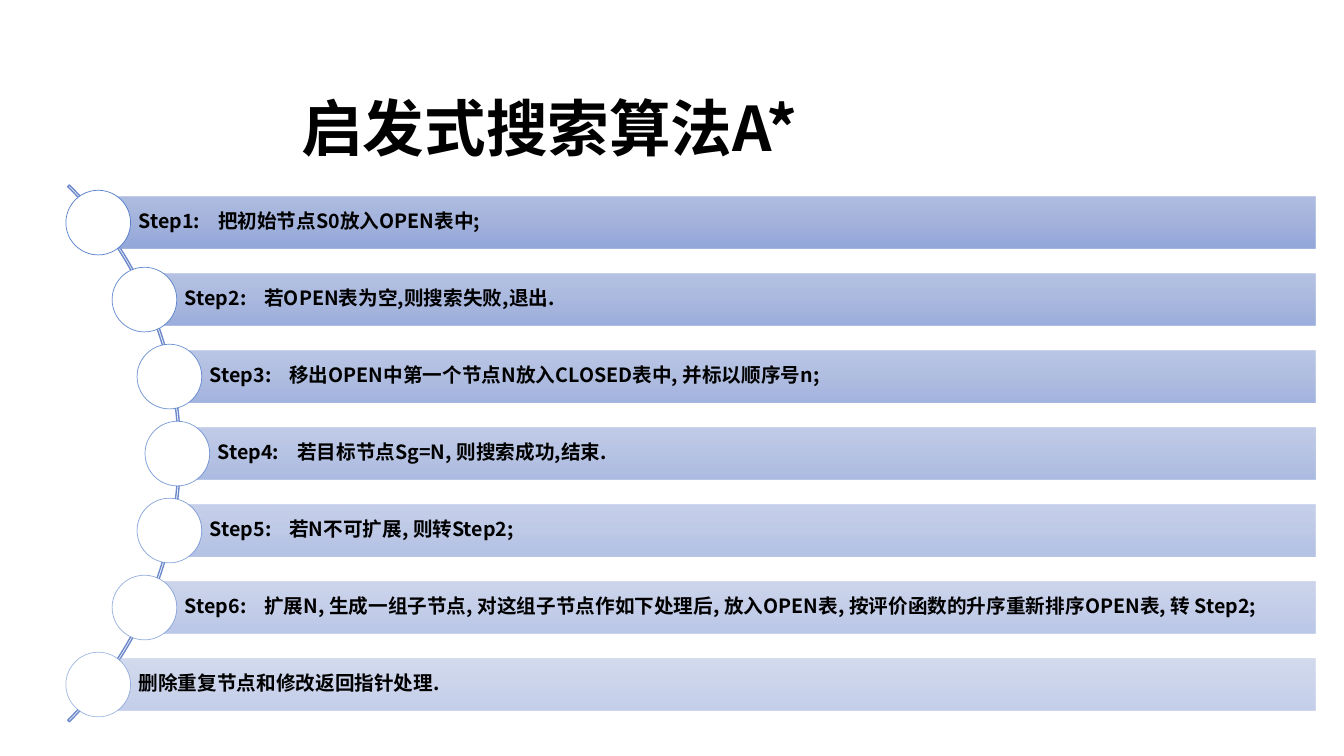
from dataclasses import dataclass
from math import sqrt

from lxml.etree import SubElement
from pptx import Presentation
from pptx.dml.color import RGBColor
from pptx.enum.shapes import MSO_SHAPE
from pptx.enum.text import MSO_ANCHOR, MSO_AUTO_SIZE, PP_ALIGN
from pptx.oxml.ns import qn
from pptx.shapes.autoshape import Shape
from pptx.slide import Slide
from pptx.text.text import TextFrame
from pptx.util import Cm, Pt

COLORS = {
    "text": "000000",
    "node": "FFFFFF",
    "node_line": "4472C4",
    "arc": "6D89CB",
    "bar_top": "A8B7DF",
    "bar_middle": "9AABD9",
    "bar_bottom": "889ED7",
}
FONT = "Noto Sans CJK SC"
ARC_LEFT, ARC_TOP, ARC_SIZE = -14.58, 1.86, 19.13
CENTER_X, CENTER_Y, RADIUS = -5.02, 11.43, 9.49
PITCH, BAR_HEIGHT, BAR_RIGHT, NODE_SIZE = 1.94, 1.3, 33.15, 1.63


@dataclass
class Step:
    text: str
    x: float
    y: float
    alpha: int


def rgb(name: str) -> RGBColor:
    return RGBColor.from_string(COLORS[name])


def set_alpha(color_element, percent: int) -> None:
    SubElement(color_element, qn("a:alpha")).set("val", str(percent * 1000))


def write(tf: TextFrame, text: str, *, size: float, bold: bool = True,
          color: str = "text", tab: float | None = None) -> None:
    tf.word_wrap = True
    tf.auto_size = MSO_AUTO_SIZE.NONE
    tf.vertical_anchor = MSO_ANCHOR.MIDDLE
    p = tf.paragraphs[0]
    p.alignment = PP_ALIGN.LEFT
    if tab is not None:
        tabs = SubElement(p._p.get_or_add_pPr(), qn("a:tabLst"))
        stop = SubElement(tabs, qn("a:tab"))
        stop.set("pos", str(Cm(tab)))
        stop.set("algn", "l")
    p.line_spacing = 0.9
    r = p.add_run()
    r.text = text
    r.font.size = Pt(size)
    r.font.bold = bold
    r.font.color.rgb = rgb(color)
    r.font.name = FONT
    SubElement(r._r.get_or_add_rPr(), qn("a:ea")).set("typeface", FONT)


def add_shape(s: Slide, kind: MSO_SHAPE, left: float, top: float,
              width: float, height: float) -> Shape:
    sp = s.shapes.add_shape(kind, Cm(left), Cm(top), Cm(width), Cm(height))
    sp.shadow.inherit = False
    return sp


def fill_gradient(sp: Shape, alpha: int) -> None:
    sp.fill.gradient()
    sp.fill.gradient_angle = 270
    stops = sp._element.spPr.find(qn("a:gradFill")).find(qn("a:gsLst"))
    for stop in list(stops):
        stops.remove(stop)
    for i, name in enumerate(("bar_top", "bar_middle", "bar_bottom")):
        stop = SubElement(stops, qn("a:gs"))
        stop.set("pos", str(i * 50000))
        color = SubElement(stop, qn("a:srgbClr"))
        color.set("val", COLORS[name])
        set_alpha(color, alpha)


def draw_arc(s: Slide) -> None:
    sp = add_shape(s, MSO_SHAPE.BLOCK_ARC, ARC_LEFT, ARC_TOP, ARC_SIZE, ARC_SIZE)
    for i, value in enumerate((189, 27, 0.003)):
        sp.adjustments[i] = value
    sp.fill.background()
    sp.line.color.rgb = rgb("arc")
    sp.line.width = Pt(1)


def draw_step(s: Slide, step: Step) -> None:
    bar = add_shape(s, MSO_SHAPE.RECTANGLE, step.x, step.y - BAR_HEIGHT / 2,
                    BAR_RIGHT - step.x, BAR_HEIGHT)
    fill_gradient(bar, step.alpha)
    bar.line.fill.background()
    tf = bar.text_frame
    tf.margin_left = Cm(1.02)
    tf.margin_top = tf.margin_right = tf.margin_bottom = Cm(0.1)
    write(tf, step.text, size=14, tab=2)

    node = add_shape(s, MSO_SHAPE.OVAL, step.x - NODE_SIZE / 2,
                     step.y - NODE_SIZE / 2, NODE_SIZE, NODE_SIZE)
    node.fill.solid()
    node.fill.fore_color.rgb = rgb("node")
    node.line.color.rgb = rgb("node_line")
    node.line.width = Pt(0.5)
    set_alpha(node.line._ln.find(".//" + qn("a:srgbClr")), step.alpha)


def place_steps(texts: list[str]) -> list[Step]:
    last = len(texts) - 1
    steps = []
    for i, text in enumerate(texts):
        dy = (i - last / 2) * PITCH
        x = CENTER_X + sqrt(RADIUS ** 2 - dy ** 2)
        steps.append(Step(text, x, CENTER_Y + dy, round(90 - 40 * i / last)))
    return steps


def main() -> None:
    prs = Presentation()
    prs.slide_width, prs.slide_height = Cm(33.87), Cm(19.05)
    s = prs.slides.add_slide(prs.slide_layouts[5])

    title = s.shapes.title
    title.left, title.top = Cm(7.34), Cm(1.73)
    title.width, title.height = Cm(21.64), Cm(3.18)
    write(title.text_frame, "启发式搜索算法A*", size=44)

    draw_arc(s)
    texts = [
        "Step1:\t把初始节点S0放入OPEN表中;",
        "Step2:\t若OPEN表为空,则搜索失败,退出.",
        "Step3:\t移出OPEN中第一个节点N放入CLOSED表中, 并标以顺序号n;",
        "Step4:\t若目标节点Sg=N, 则搜索成功,结束.",
        "Step5:\t若N不可扩展, 则转Step2;",
        "Step6:\t扩展N, 生成一组子节点, 对这组子节点作如下处理后, 放入OPEN表, "
        "按评价函数的升序重新排序OPEN表, 转 Step2;",
        "删除重复节点和修改返回指针处理.",
    ]
    for step in place_steps(texts):
        draw_step(s, step)

    prs.save("out.pptx")


if __name__ == "__main__":
    main()
